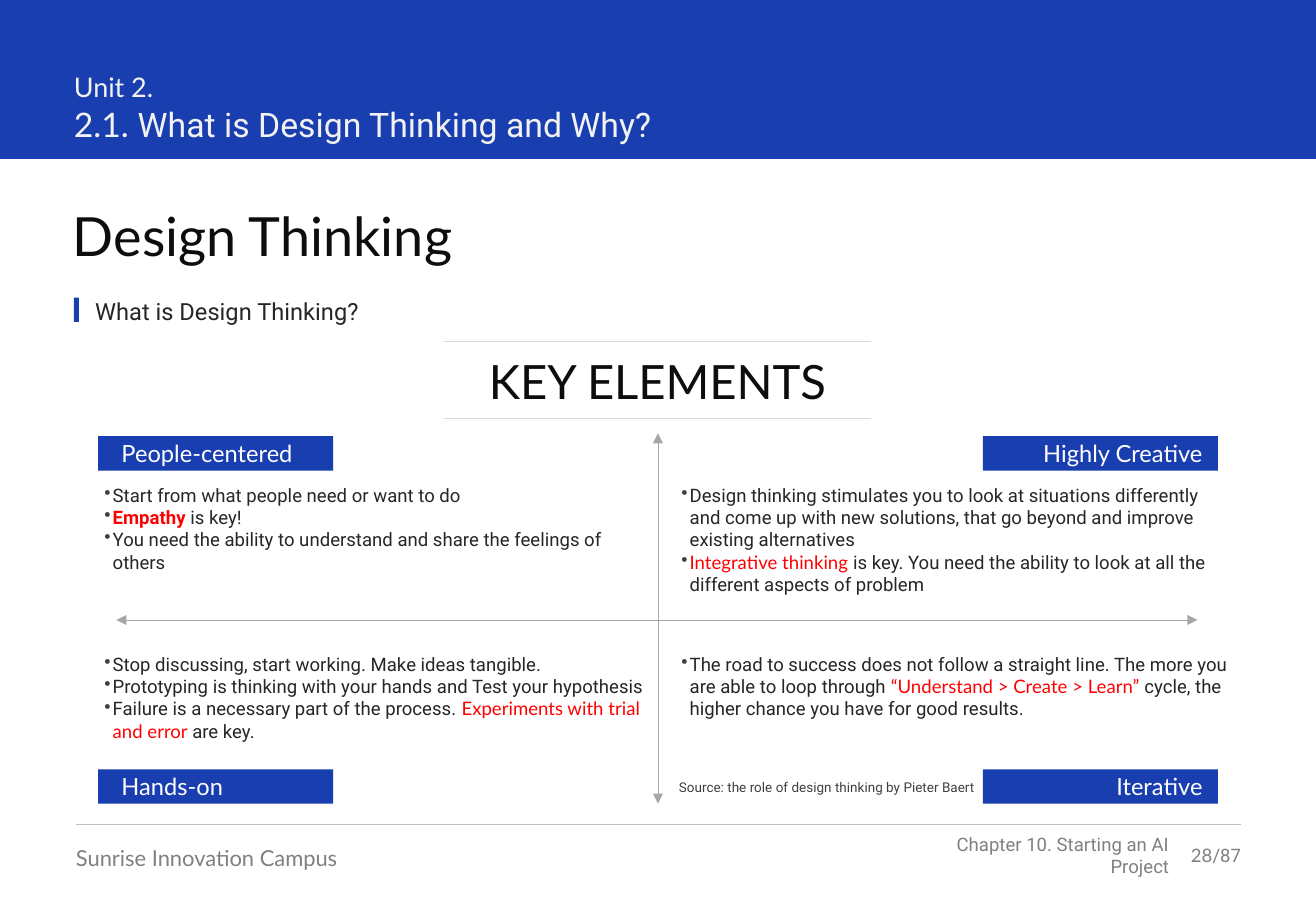
from collections import namedtuple

from lxml import etree
from pptx import Presentation
from pptx.dml.color import RGBColor
from pptx.enum.shapes import MSO_CONNECTOR, MSO_SHAPE
from pptx.enum.text import MSO_ANCHOR, PP_ALIGN
from pptx.oxml.ns import qn
from pptx.util import Pt

STRAIGHT = MSO_CONNECTOR.STRAIGHT
RECTANGLE = MSO_SHAPE.RECTANGLE
TOP, MIDDLE = MSO_ANCHOR.TOP, MSO_ANCHOR.MIDDLE
LEFT, CENTER, RIGHT = PP_ALIGN.LEFT, PP_ALIGN.CENTER, PP_ALIGN.RIGHT

COLUMNS, ROWS, CELL = 130, 90, Pt(6)
LATO, ROBOTO = "Lato", "Roboto"
BLUE, RED, WHITE = "193EB0", "FF0000", "FFFFFF"
PALE, BLACK, INK, GRAY = "F2F2F2", "0D0D0D", "262626", "808080"

Box = namedtuple("Box", "x y w h")
Style = namedtuple("Style", "size font color bold", defaults=(False,))

BODY = Style(11, ROBOTO, INK)
ACCENT = Style(11, LATO, RED)
EMPATHY = Style(11, ROBOTO, RED, True)
LABEL = Style(14, LATO, WHITE)

QUADRANTS = [
    (0, 0, "People-centered", [
        [("Start from what people need or want to do", BODY)],
        [("Empathy", EMPATHY), (" is key!", BODY)],
        [("You need the ability to understand and share the feelings of others", BODY)],
    ]),
    (1, 0, "Highly Creative", [
        [("Design thinking stimulates you to look at situations differently and come up "
          "with new solutions, that go beyond and improve existing alternatives", BODY)],
        [("Integrative thinking ", ACCENT),
         ("is key. You need the ability to look at all the different aspects of problem", BODY)],
    ]),
    (0, 1, "Hands-on", [
        [("Stop discussing, start working. Make ideas tangible.", BODY)],
        [("Prototyping is thinking with your hands and Test your hypothesis", BODY)],
        [("Failure is a necessary part of the process. ", BODY),
         ("Experiments with trial and error ", ACCENT), ("are key.", BODY)],
    ]),
    (1, 1, "Iterative", [
        [("The road to success does not follow a straight line. The more you are able "
          "to loop through ", BODY),
         ("“Understand > Create > Learn” ", ACCENT),
         ("cycle, the higher chance you have for good results.", BODY)],
    ]),
]


def rgb(color):
    return RGBColor.from_string(color)


def cells(*counts):
    return [round(count * CELL) for count in counts]


def add_bullet(paragraph):
    properties = paragraph._p.get_or_add_pPr()
    properties.set("marL", str(Pt(5)))
    properties.set("indent", str(-Pt(5)))
    bullet_color = etree.SubElement(properties, qn("a:buClr"))
    etree.SubElement(bullet_color, qn("a:srgbClr"), val="404040")
    etree.SubElement(properties, qn("a:buChar"), char="•")


def write(frame, paragraphs, align=LEFT, anchor=TOP, insets=(0, 0, 0, 0), bullets=False):
    frame.word_wrap = True
    frame.vertical_anchor = anchor
    (frame.margin_left, frame.margin_top,
     frame.margin_right, frame.margin_bottom) = cells(*insets)
    for index, pieces in enumerate(paragraphs):
        paragraph = frame.add_paragraph() if index else frame.paragraphs[0]
        paragraph.alignment = align
        if bullets:
            add_bullet(paragraph)
        for words, style in pieces:
            run = paragraph.add_run()
            run.text = words
            run.font.size = Pt(style.size)
            run.font.name = style.font
            run.font.bold = style.bold
            run.font.color.rgb = rgb(style.color)


def add_text(slide, box, paragraphs, **layout):
    write(slide.shapes.add_textbox(*cells(*box)).text_frame, paragraphs, **layout)


def add_block(slide, box):
    block = slide.shapes.add_shape(RECTANGLE, *cells(*box))
    block.shadow.inherit = False
    block.fill.solid()
    block.fill.fore_color.rgb = rgb(BLUE)
    block.line.fill.background()
    return block


def add_rule(slide, x1, y1, x2, y2, color, arrows=False):
    rule = slide.shapes.add_connector(STRAIGHT, *cells(x1, y1, x2, y2))
    rule.line.color.rgb = rgb(color)
    rule.line.width = Pt(0.5)
    if arrows:
        outline = rule.line._get_or_add_ln()
        for end in ("a:headEnd", "a:tailEnd"):
            etree.SubElement(outline, qn(end), type="triangle")
    etree.SubElement(rule._element.spPr, qn("a:effectLst"))


def build_header(slide, box):
    add_block(slide, box)
    add_text(slide, Box(box.x + 7.3, box.y + 7, 76.4, 7.3), [
        [("Unit 2.", Style(16, LATO, PALE))],
        [("2.1. ", Style(20, LATO, PALE)),
         ("What is Design Thinking and Why?", Style(20, ROBOTO, PALE))],
    ])


def build_heading(slide, box):
    add_text(slide, Box(box.x, box.y, box.w, 6.5),
             [[("Design Thinking", Style(32, LATO, BLACK))]])
    add_block(slide, Box(box.x + 0.1, box.y + 9.4, 0.5, 2.4))
    add_text(slide, Box(box.x + 2.2, box.y + 9.3, box.w - 2.2, 2.9),
             [[("What is Design Thinking?", Style(14, ROBOTO, INK))]])


def build_key_banner(slide, box):
    add_text(slide, Box(box.x, box.y + 1.1, box.w, 5.6),
             [[("KEY ELEMENTS", Style(28, LATO, BLACK))]], align=CENTER)
    for y in (box.y, box.y + box.h):
        add_rule(slide, box.x, y, box.x + box.w, y, "D9D9D9")


def build_quadrants(slide, box):
    label_w, label_h = 23.2, 3.4
    center = box.x + box.w / 2
    middle = box.y + box.h / 2
    add_rule(slide, box.x + 1.8, middle, box.x + box.w - 2, middle, "A6A6A6", arrows=True)
    add_rule(slide, center, box.y - 0.3, center, box.y + box.h, "A6A6A6", arrows=True)
    for column, row, title, points in QUADRANTS:
        label = add_block(slide, Box(box.x + column * (box.w - label_w),
                                     box.y + row * (box.h - label_h), label_w, label_h))
        write(label.text_frame, [[(title, LABEL)]], align=RIGHT if column else LEFT,
              anchor=MIDDLE, insets=(2.3, 0, 1.5, 0))
        add_text(slide, Box(box.x + 0.6 + column * 57, box.y + 3.7 + row * 16.7, 56, 11),
                 points, insets=(0, 1, 1.9, 1), bullets=True)
    add_text(slide, Box(center + 0.4, box.y + box.h - 2.4, 32.6, 1.6),
             [[("Source: the role of design thinking by Pieter Baert",
                Style(8, ROBOTO, "404040"))]], align=CENTER)


def build_footer(slide, box):
    right = box.x + box.w
    page_w, chapter_w = 7.1, 26
    text_y = box.y + 1.8
    add_rule(slide, box.x, box.y, right, box.y, "BFBFBF")
    add_text(slide, Box(box.x, text_y + 0.1, 38, 2.6),
             [[("Sunrise Innovation Campus", Style(13, LATO, GRAY))]])
    add_text(slide, Box(right - page_w - chapter_w, text_y, chapter_w, 2.3),
             [[("Chapter 10. Starting an AI Project", Style(11, ROBOTO, GRAY))]],
             align=RIGHT, anchor=MIDDLE)
    add_text(slide, Box(right - page_w, text_y, page_w, 2.3),
             [[("28", Style(11, LATO, GRAY)), ("/87", Style(11, ROBOTO, GRAY))]],
             align=RIGHT, anchor=MIDDLE)


def main():
    deck = Presentation()
    deck.slide_width, deck.slide_height = cells(COLUMNS, ROWS)
    slide = deck.slides.add_slide(deck.slide_layouts[6])
    build_header(slide, Box(0, 0, COLUMNS, 15.7))
    build_heading(slide, Box(7.2, 20, 115.4, 12.2))
    build_key_banner(slide, Box(43.9, 33.7, 42.1, 7.6))
    build_quadrants(slide, Box(9.7, 43.1, 110.6, 36.3))
    build_footer(slide, Box(7.5, 81.5, 115.1, 4))
    deck.save("out.pptx")


if __name__ == "__main__":
    main()
